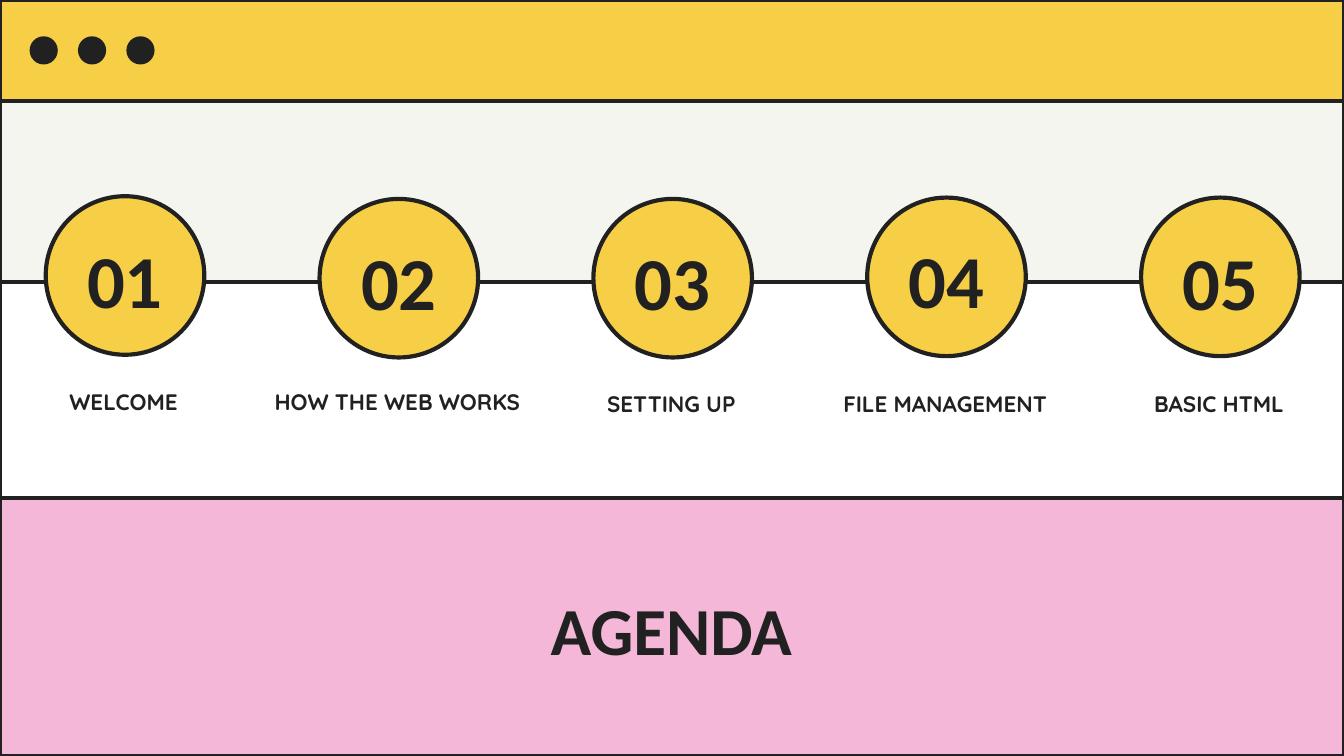
from pptx import Presentation
from pptx.dml.color import RGBColor
from pptx.enum.shapes import MSO_SHAPE as Shape
from pptx.enum.text import MSO_ANCHOR as Anchor, PP_ALIGN as Align
from pptx.util import Inches, Pt

# Content: number, label, circle top, number top, label top
TITLE = "AGENDA"
STEPS = [
    ("01", "WELCOME", 1.46, 1.60, 2.79),
    ("02", "HOW THE WEB WORKS", 1.48, 1.61, 2.79),
    ("03", "SETTING UP", 1.48, 1.61, 2.80),
    ("04", "FILE MANAGEMENT", 1.47, 1.60, 2.80),
    ("05", "BASIC HTML", 1.47, 1.61, 2.80),
]

# Format
COLORS = {"ink": "212121", "yellow": "F7CF46", "cream": "F5F5F0", "pink": "F4B7D8"}
STYLES = {
    "title": {"name": "Calibri", "size": Pt(36), "bold": True},
    "number": {"name": "Calibri", "size": Pt(40), "bold": True},
    "label": {"name": "Quicksand", "size": Pt(12), "bold": True},
}
WIDTH = 10
HEIGHT = WIDTH * 9 / 16
PINK_HEIGHT = 1.92
BANDS = [  # top, height, fill
    (0, HEIGHT, None),
    (0, 0.75, "yellow"),
    (0.75, 1.35, "cream"),
    (HEIGHT - PINK_HEIGHT, PINK_HEIGHT, "pink"),
]
DOT_LEFT, DOT_TOP, DOT_SIZE, DOT_STEP = 0.22, 0.27, 0.21, 0.36
CIRCLE_LEFT, CIRCLE_SIZE = 0.34, 1.18
LABEL_WIDTH, LABEL_SHIFT = 2.38, 0.61

presentation = Presentation()
presentation.slide_width, presentation.slide_height = Inches(WIDTH), Inches(HEIGHT)
slide = presentation.slides.add_slide(presentation.slide_layouts[6])


def color(name):
    return RGBColor.from_string(COLORS[name])


def add_shape(kind, left, top, width, height, fill, outlined=True):
    shape = slide.shapes.add_shape(kind, *map(Inches, (left, top, width, height)))
    shape.shadow.inherit = False
    if fill:
        shape.fill.solid()
        shape.fill.fore_color.rgb = color(fill)
    else:
        shape.fill.background()
    if outlined:
        shape.line.color.rgb = color("ink")
        shape.line.width = Pt(2.25)
    else:
        shape.line.fill.background()


def add_text(text, style, left, top, width, height, anchor=Anchor.TOP, space_after=0):
    box = slide.shapes.add_textbox(*map(Inches, (left, top, width, height)))
    frame = box.text_frame
    frame.word_wrap = True
    frame.vertical_anchor = anchor
    for side in ("left", "top", "right", "bottom"):
        setattr(frame, f"margin_{side}", Inches(0.1))
    paragraph = frame.paragraphs[0]
    paragraph.alignment = Align.CENTER
    paragraph.space_after = Pt(space_after)
    run = paragraph.add_run()
    run.text = text
    for attribute, value in STYLES[style].items():
        setattr(run.font, attribute, value)
    run.font.color.rgb = color("ink")


# Browser window: frame, title bar and content bands
for top, height, fill in BANDS:
    add_shape(Shape.RECTANGLE, 0, top, WIDTH, height, fill)

# Window buttons
for index in range(3):
    add_shape(Shape.OVAL, DOT_LEFT + index * DOT_STEP, DOT_TOP,
              DOT_SIZE, DOT_SIZE, "ink", outlined=False)

# Title
add_text(TITLE, "title", 2.03, 4.28, 5.93, 0.91)

# Agenda steps, spread evenly from 0.34 to 8.49
step_gap = (8.49 - CIRCLE_LEFT) / (len(STEPS) - 1)
for index, (number, label, circle_top, number_top, label_top) in enumerate(STEPS):
    left = CIRCLE_LEFT + index * step_gap
    add_shape(Shape.OVAL, left, circle_top, CIRCLE_SIZE, CIRCLE_SIZE, "yellow")
    add_text(number, "number", left, number_top, CIRCLE_SIZE, 0.91, Anchor.BOTTOM)
    add_text(label, "label", left - LABEL_SHIFT, label_top, LABEL_WIDTH, 0.55,
             space_after=16)

presentation.save("out.pptx")
